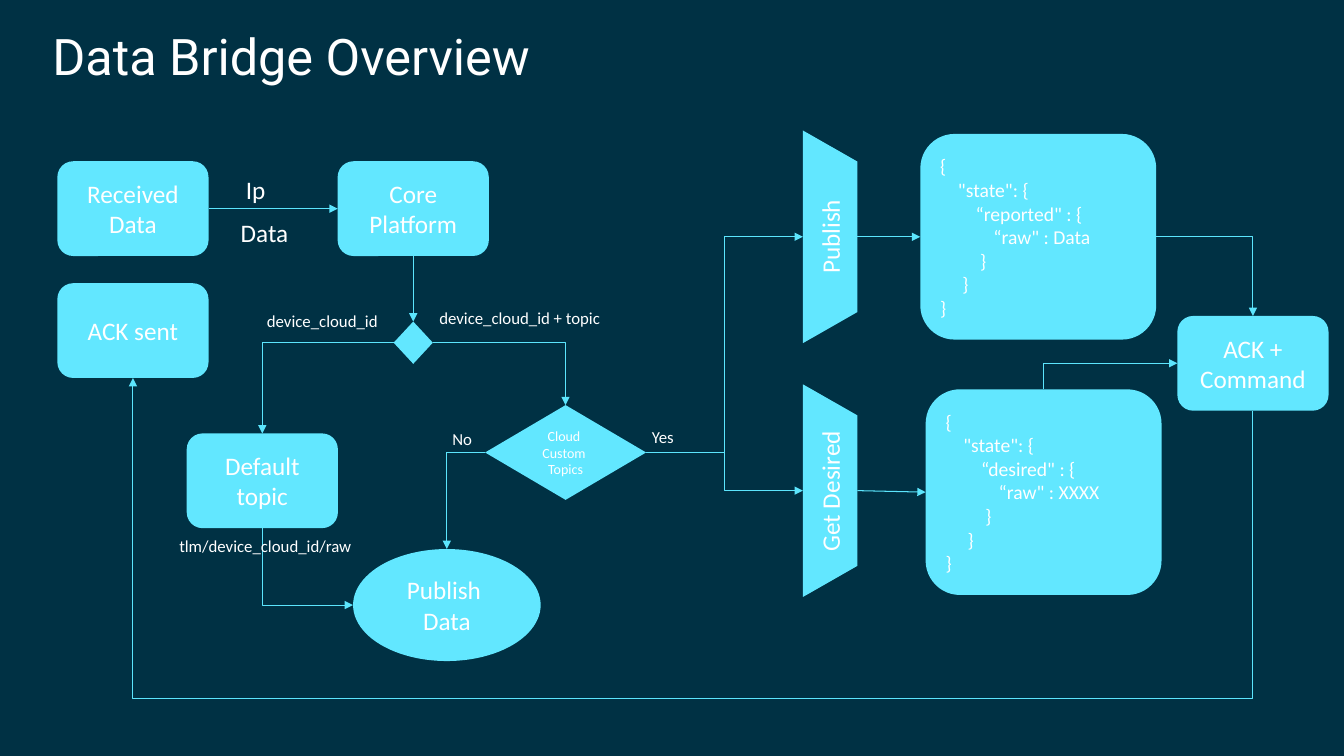
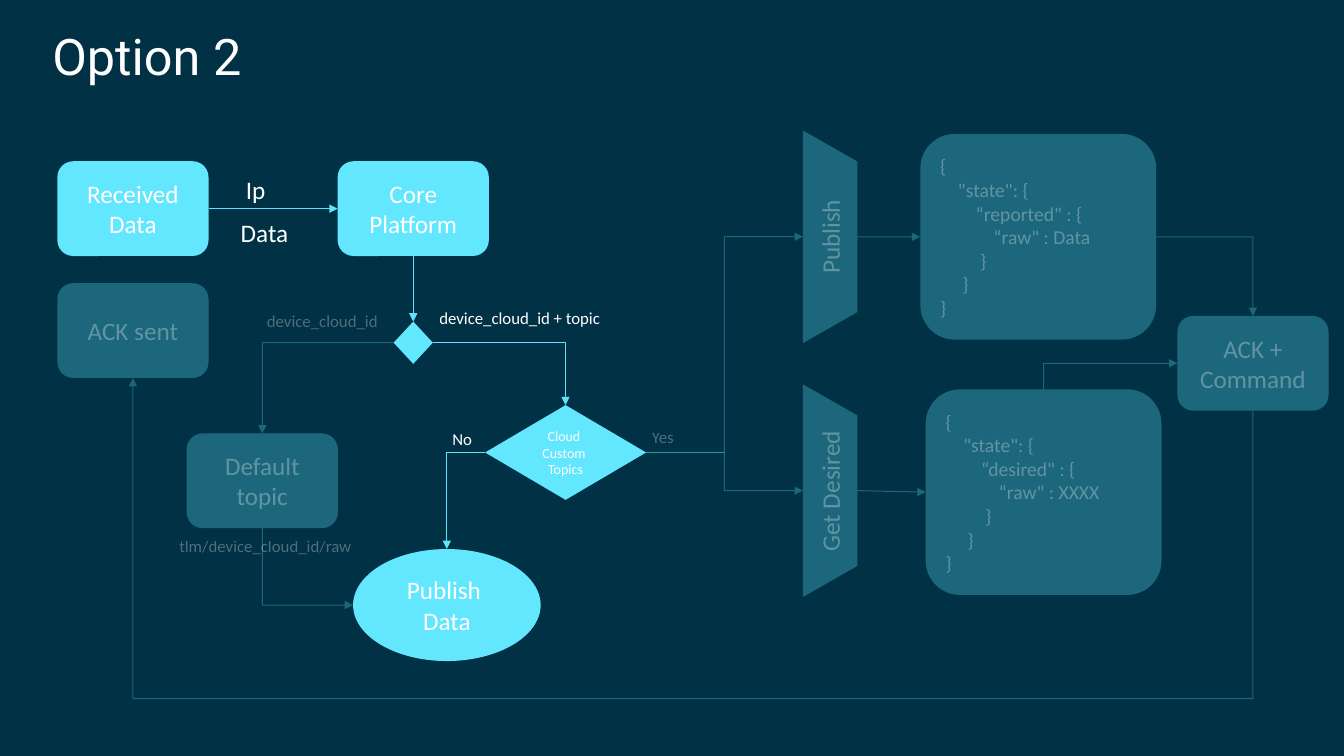
from dataclasses import dataclass
from typing import NamedTuple

from lxml.etree import SubElement
from pptx import Presentation
from pptx.dml.color import RGBColor
from pptx.enum.shapes import MSO_CONNECTOR, MSO_SHAPE
from pptx.enum.text import MSO_ANCHOR, MSO_AUTO_SIZE, PP_ALIGN
from pptx.oxml.ns import qn
from pptx.util import Pt

NAVY = RGBColor(0x00, 0x31, 0x44)
CYAN = RGBColor(0x62, 0xE7, 0xFF)
ARROW_CYAN = RGBColor(0x5C, 0xE5, 0xFD)
WHITE = RGBColor(0xFF, 0xFF, 0xFF)

BODY_FONT = "Calibri"
TITLE_FONT = "Roboto"
FADED_ALPHA = "30000"
STEP_SIZE = (108, 67.7)
MESSAGE_SIZE = (168.5, 146.9)
ACTION_SIZE = (38.9, 151.9)
CODE_INDENTS = (0, 12.65, 25.3, 37.95, 28.45, 15.8, 0)
TITLE_ONLY_LAYOUT = 5


class Point(NamedTuple):
    """A place on the slide, in points."""

    x: float
    y: float


@dataclass(frozen=True)
class Node:
    """A filled flowchart shape; in_option is True on the Option 2 route."""

    shape: MSO_SHAPE
    corner: Point
    size: tuple[float, float]
    text: str = ""
    font_size: float = 18
    align: PP_ALIGN = PP_ALIGN.CENTER
    indents: tuple[float, ...] = ()
    in_option: bool = False

    @property
    def centre(self) -> Point:
        """Middle of the node."""
        return Point(self.corner.x + self.size[0] / 2, self.corner.y + self.size[1] / 2)

    @property
    def top(self) -> Point:
        """Middle of the upper side."""
        return Point(self.centre.x, self.corner.y)

    @property
    def bottom(self) -> Point:
        """Middle of the lower side."""
        return Point(self.centre.x, self.corner.y + self.size[1])

    @property
    def left(self) -> Point:
        """Middle of the left side."""
        return Point(self.corner.x, self.centre.y)

    @property
    def right(self) -> Point:
        """Middle of the right side."""
        return Point(self.corner.x + self.size[0], self.centre.y)


@dataclass(frozen=True)
class Link:
    """An arrow between two nodes; bends is its number of corners."""

    start: Point
    end: Point
    bends: int = 0
    vertical_first: bool = False
    turn_y: float | None = None
    in_option: bool = False


@dataclass(frozen=True)
class Label:
    """Free text beside an arrow or on an action."""

    text: str
    corner: Point
    size: tuple[float, float]
    font_size: float = 12
    rotation: float = 0
    in_option: bool = False


def step(text: str, x: float, y: float, in_option: bool = False) -> Node:
    """Describe a rounded process step."""
    return Node(MSO_SHAPE.ROUNDED_RECTANGLE, Point(x, y), STEP_SIZE, text, in_option=in_option)


def message(key: str, value: str, x: float, y: float) -> Node:
    """Describe a rounded panel with a JSON state message."""
    code = f'{{ \n"state": {{\n“{key}" : {{ \n“raw" : {value}\n}}\n}} \n}}'
    return Node(MSO_SHAPE.ROUNDED_RECTANGLE, Point(x, y), MESSAGE_SIZE, code, 14,
                PP_ALIGN.LEFT, CODE_INDENTS)


def action(y: float) -> Node:
    """Describe an upright trapezoid that stands for a cloud action."""
    return Node(MSO_SHAPE.TRAPEZOID, Point(573.5, y), ACTION_SIZE)


RECEIVED = step("Received Data", 41, 115.2, True)
PLATFORM = step("Core Platform", 241.2, 115.2, True)
ACK_SENT = step("ACK sent", 41, 202.3)
DEFAULT_TOPIC = step("Default topic", 133.4, 309.6)
ACK_COMMAND = step("ACK + Command", 841, 225.7)
ROUTER = Node(MSO_SHAPE.DIAMOND, Point(281.2, 229.7), (28, 30.2), in_option=True)
CUSTOM_TOPICS = Node(MSO_SHAPE.DIAMOND, Point(346.5, 289.4), (115, 67.7),
                     "Cloud \nCustom \nTopics", 10, in_option=True)
PUBLISH_DATA = Node(MSO_SHAPE.OVAL, Point(252.2, 392.2), (134, 80),
                    "Publish \nData", in_option=True)
PUBLISH = action(93.2)
GET_DESIRED = action(274.5)
REPORTED = message("reported", "Data", 657.4, 95.7)
DESIRED = message("desired", "XXXX", 661.2, 278.1)

NODES = (DESIRED, ACK_COMMAND, DEFAULT_TOPIC, PLATFORM, ACK_SENT, RECEIVED, REPORTED,
         CUSTOM_TOPICS, PUBLISH_DATA, ROUTER, PUBLISH, GET_DESIRED)

LINKS = (
    Link(RECEIVED.right, PLATFORM.left, in_option=True),
    Link(PLATFORM.bottom, ROUTER.top, in_option=True),
    Link(ROUTER.right, CUSTOM_TOPICS.top, 1, in_option=True),
    Link(CUSTOM_TOPICS.left, PUBLISH_DATA.top, 1, in_option=True),
    Link(ROUTER.left, DEFAULT_TOPIC.top, 1),
    Link(DEFAULT_TOPIC.bottom, PUBLISH_DATA.left, 1, vertical_first=True),
    Link(CUSTOM_TOPICS.right, PUBLISH.left, 2),
    Link(CUSTOM_TOPICS.right, GET_DESIRED.left, 2),
    Link(PUBLISH.right, REPORTED.left),
    Link(GET_DESIRED.right, DESIRED.left),
    Link(REPORTED.right, ACK_COMMAND.top, 1),
    Link(DESIRED.top, ACK_COMMAND.left, 1, vertical_first=True),
    Link(ACK_COMMAND.bottom, ACK_SENT.bottom, 2, vertical_first=True, turn_y=498.8),
)

LABELS = (
    Label("Publish", Point(558.7, 154.1), (68.4, 29), 18, 270),
    Label("Get Desired", Point(542.2, 335.7), (101.5, 29), 18, 270),
    Label("Ip", Point(168.5, 121), (54.7, 29), 18, in_option=True),
    Label("Data", Point(164.9, 151.9), (54.7, 29), 18, in_option=True),
    Label("device_cloud_id", Point(183.6, 218.5), (160, 21.8)),
    Label("device_cloud_id + topic", Point(306.7, 216.2), (160, 21.8), in_option=True),
    Label("Yes", Point(458.6, 301.5), (40.3, 21.8)),
    Label("No", Point(316.1, 302.7), (40.3, 21.8), in_option=True),
    Label("tlm/device_cloud_id/raw", Point(121, 379.4), (211.7, 21.8)),
)


def write_text(frame, text: str, *, size: float = 18, font: str = BODY_FONT,
               align: PP_ALIGN = PP_ALIGN.LEFT, anchor: MSO_ANCHOR = MSO_ANCHOR.TOP,
               wrap: bool = True, grow: bool = False,
               indents: tuple[float, ...] = ()) -> None:
    """Fill a text frame, one paragraph a line, in one format."""
    frame.text = text
    frame.word_wrap = wrap
    frame.vertical_anchor = anchor
    frame.auto_size = MSO_AUTO_SIZE.SHAPE_TO_FIT_TEXT if grow else MSO_AUTO_SIZE.NONE
    for paragraph in frame.paragraphs:
        paragraph.alignment = align
        for run in paragraph.runs:
            run.font.size = Pt(size)
            run.font.name = font
            run.font.color.rgb = WHITE
    for paragraph, indent in zip(frame.paragraphs, indents):
        properties = paragraph._p.get_or_add_pPr()
        properties.set("marL", str(Pt(indent)))
        properties.set("indent", "0")


def fade(shape) -> None:
    """Make every colour of a shape mostly transparent."""
    for colour in shape._element.iter(qn("a:srgbClr")):
        SubElement(colour, qn("a:alpha")).set("val", FADED_ALPHA)


def draw_node(slide, node: Node):
    """Draw a flowchart shape with its text."""
    upright = node.shape == MSO_SHAPE.TRAPEZOID
    width, height = reversed(node.size) if upright else node.size
    shape = slide.shapes.add_shape(
        node.shape, Pt(node.centre.x - width / 2), Pt(node.centre.y - height / 2),
        Pt(width), Pt(height))
    if upright:
        shape.rotation = 90
        shape.adjustments[0] = 0.57
    shape.shadow.inherit = False
    shape.fill.solid()
    shape.fill.fore_color.rgb = CYAN
    shape.line.fill.background()
    if node.text:
        write_text(shape.text_frame, node.text, size=node.font_size, align=node.align,
                   anchor=MSO_ANCHOR.MIDDLE, indents=node.indents)
    return shape


def draw_link(slide, link: Link):
    """Draw an arrow; one that leaves vertically is a quarter-turned elbow."""
    start, end = link.start, link.end
    if link.vertical_first:
        middle = Point((start.x + end.x) / 2, (start.y + end.y) / 2)
        half_x, half_y = (end.x - start.x) / 2, (end.y - start.y) / 2
        start = Point(middle.x - half_y, middle.y + half_x)
        end = Point(middle.x + half_y, middle.y - half_x)
    kind = MSO_CONNECTOR.ELBOW if link.bends else MSO_CONNECTOR.STRAIGHT
    arrow = slide.shapes.add_connector(kind, Pt(start.x), Pt(start.y), Pt(end.x), Pt(end.y))
    if link.vertical_first:
        arrow.rotation = 90
    properties = arrow._element.spPr
    geometry = properties.find(qn("a:prstGeom"))
    if link.bends == 1:
        geometry.set("prst", "bentConnector2")
    if link.turn_y is not None:
        share = (link.turn_y - link.start.y) / (link.end.y - link.start.y)
        guide = SubElement(geometry.find(qn("a:avLst")), qn("a:gd"))
        guide.set("name", "adj1")
        guide.set("fmla", f"val {round(share * 100000)}")
    arrow.line.color.rgb = ARROW_CYAN
    arrow.line.width = Pt(0.75)
    SubElement(properties.find(qn("a:ln")), qn("a:tailEnd")).set("type", "triangle")
    SubElement(properties, qn("a:effectLst"))
    return arrow


def draw_label(slide, label: Label):
    """Draw a free text label."""
    box = slide.shapes.add_textbox(*map(Pt, (*label.corner, *label.size)))
    box.rotation = label.rotation
    write_text(box.text_frame, label.text, size=label.font_size,
               wrap=not label.rotation, grow=True)
    return box


def add_flow_slide(prs, title: str, option_only: bool) -> None:
    """Add the data flow, with all but the option's route faded on request."""
    slide = prs.slides.add_slide(prs.slide_layouts[TITLE_ONLY_LAYOUT])
    write_text(slide.shapes.title.text_frame, title, size=36, font=TITLE_FONT, grow=True)
    for parts, draw in ((NODES, draw_node), (LINKS, draw_link), (LABELS, draw_label)):
        for part in parts:
            drawn = draw(slide, part)
            if option_only and not part.in_option:
                fade(drawn)


def main() -> None:
    """Set up the shared look and build both slides."""
    prs = Presentation()
    prs.slide_width, prs.slide_height = Pt(960), Pt(540)
    background = prs.slide_master.background.fill
    background.solid()
    background.fore_color.rgb = NAVY
    heading = prs.slide_layouts[TITLE_ONLY_LAYOUT].placeholders[0]
    heading.left, heading.top, heading.width, heading.height = map(Pt, (30.2, 14.4, 427, 51))
    add_flow_slide(prs, "Data Bridge Overview", option_only=False)
    add_flow_slide(prs, "Option 2", option_only=True)
    prs.save("out.pptx")


main()
